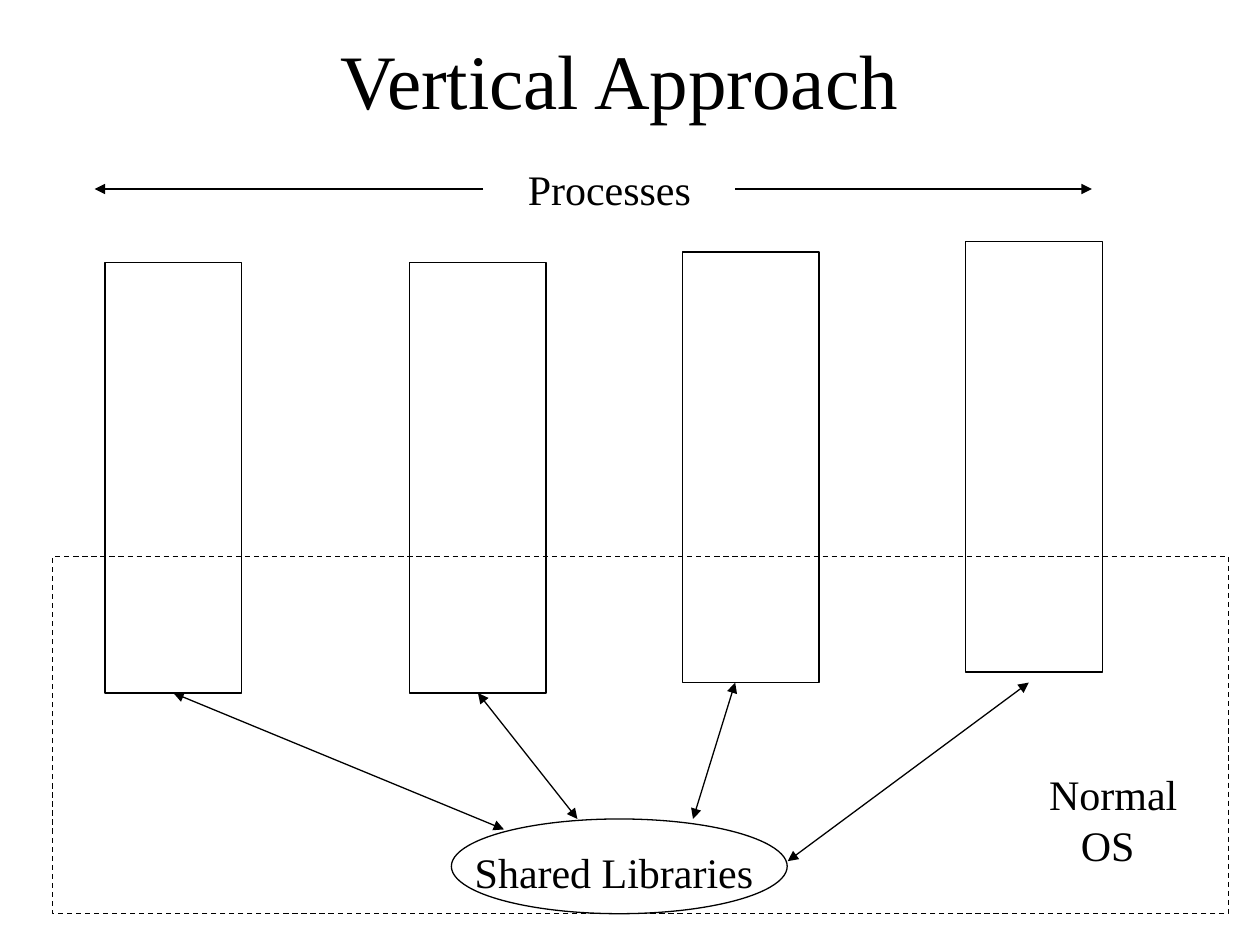
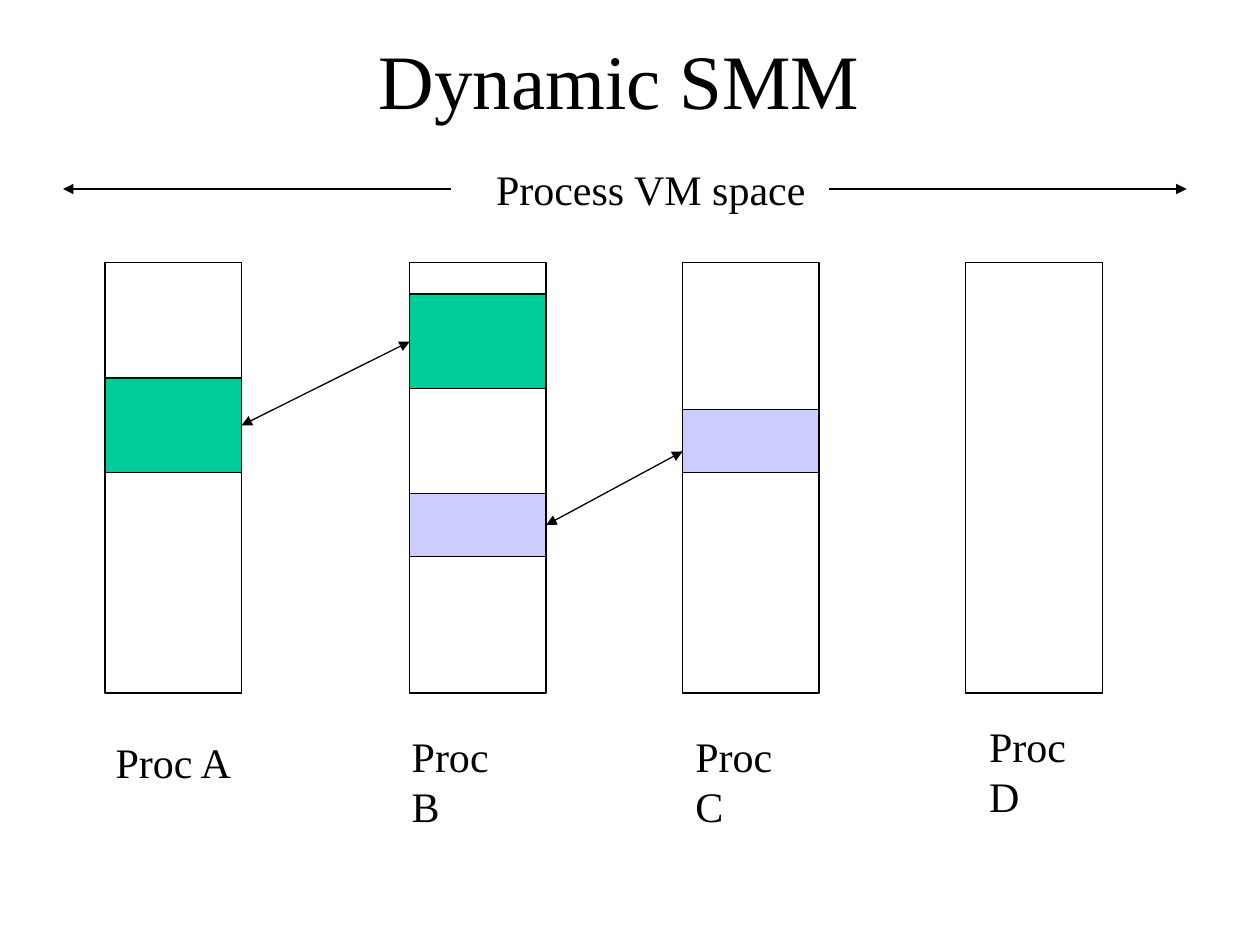
from lxml import etree
from pptx import Presentation
from pptx import util as u
from pptx.dml.color import RGBColor
from pptx.enum import dml, shapes, text
from pptx.oxml.ns import qn

# Shared style (all lengths in cm)
COLORS = {"ink": "000000", "green": "00CC99", "lavender": "CCCCFF"}
FONT = "Times New Roman"
TITLE_BOX = (1.69, 0, 21.59, 3.18)
LABEL_H = 1.27
COL_X = (2.12, 8.26, 13.76, 19.47)
COL_W, COL_H = 2.75, 8.68
COL_TOP = 5.29
ARROW_Y = 3.81

# Vertical approach: tops of the processes, and their arrows to the libraries
PROCESS_TOPS = (5.29, 5.29, 5.08, 4.87)
LIBRARIES = (9.1, 16.51, 6.77, 1.91)
NORMAL_OS = (1.06, 11.22, 23.71, 7.2)
LIBRARY_LINKS = [  # process end, library end, process joined
    ((3.49, 13.97), (10.16, 16.72), 0),
    ((9.53, 13.97), (11.64, 16.51), 1),
    ((14.82, 13.76), (13.97, 16.51), None),
    ((20.74, 13.76), (15.88, 17.36), None),
]

# Dynamic SMM: process labels (left, top, width) and shared blocks
PROCS = [
    ("Proc A", 2.08, 14.73, 2.87),
    ("Proc B", 8.05, 14.6, 2.82),
    ("Proc C", 13.77, 14.6, 2.82),
    ("Proc D", 19.69, 14.4, 2.87),
]
BLOCKS = [  # name, column, top, height, colour
    ("green A", 0, 7.62, 1.91, "green"),
    ("green B", 1, 5.93, 1.91, "green"),
    ("lavender B", 1, 9.95, 1.27, "lavender"),
    ("lavender C", 2, 8.26, 1.27, "lavender"),
]


def rgb(name):
    return RGBColor.from_string(COLORS[name])


def cm(values):
    return [u.Cm(v) for v in values]


def add_text(s, content, box, size=24, align=text.PP_ALIGN.LEFT,
             anchor=text.MSO_ANCHOR.TOP, wrap=False, indents=()):
    tf = s.shapes.add_textbox(*cm(box)).text_frame
    tf.word_wrap = wrap
    tf.vertical_anchor = anchor
    for i, line in enumerate(content.split("\n")):
        p = tf.paragraphs[0] if i == 0 else tf.add_paragraph()
        p.alignment = align
        if i < len(indents):
            p._p.get_or_add_pPr().set("marL", str(u.Cm(indents[i])))
        r = p.add_run()
        r.text = line
        r.font.name, r.font.size = FONT, u.Pt(size)
        r.font.color.rgb = rgb("ink")


def style_line(line):
    line.color.rgb = rgb("ink")
    line.width = u.Pt(0.75)


def add_box(s, box, fill=None, kind=shapes.MSO_SHAPE.RECTANGLE, dashed=False):
    sp = s.shapes.add_shape(kind, *cm(box))
    sp.shadow.inherit = False
    if fill:
        sp.fill.solid()
        sp.fill.fore_color.rgb = rgb(fill)
    else:
        sp.fill.background()
    style_line(sp.line)
    if dashed:
        sp.line.dash_style = dml.MSO_LINE.DASH
    return sp


def add_arrow(s, start, end, both=True, begin_at=None, end_at=None):
    c = s.shapes.add_connector(shapes.MSO_CONNECTOR.STRAIGHT, *cm(start + end))
    style_line(c.line)
    if begin_at:
        c.begin_connect(*begin_at)
    if end_at:
        c.end_connect(*end_at)
    ln = c.line._get_or_add_ln()
    for tag in ("a:headEnd", "a:tailEnd") if both else ("a:tailEnd",):
        etree.SubElement(ln, qn(tag)).set("type", "triangle")
    etree.SubElement(c._element.spPr, qn("a:effectLst"))


def add_slide(prs, title, span, span_box, left_arrow, right_arrow, tops):
    """Title, labelled span with outward arrows, and the process columns."""
    s = prs.slides.add_slide(prs.slide_layouts[6])
    add_text(s, title, TITLE_BOX, size=44, align=text.PP_ALIGN.CENTER,
             anchor=text.MSO_ANCHOR.MIDDLE, wrap=True)
    columns = [add_box(s, (x, top, COL_W, COL_H)) for x, top in zip(COL_X, tops)]
    left, width = span_box
    add_text(s, span, (left, 3.18, width, LABEL_H))
    for x1, x2 in (left_arrow, right_arrow):
        add_arrow(s, (x1, ARROW_Y), (x2, ARROW_Y), both=False)
    return s, columns


def vertical_approach(prs):
    s, columns = add_slide(prs, "Vertical Approach", "Processes", (10.39, 4.01),
                           (9.74, 1.91), (14.82, 22.01), PROCESS_TOPS)
    add_box(s, LIBRARIES, kind=shapes.MSO_SHAPE.OVAL)
    for start, end, joined in LIBRARY_LINKS:
        site = None if joined is None else (columns[joined], 2)
        add_arrow(s, start, end, begin_at=site)
    add_box(s, NORMAL_OS, dashed=True)
    add_text(s, "Shared Libraries", (9.32, 16.94, 6.12, LABEL_H))
    add_text(s, "Normal\nOS", (20.9, 15.37, 3.1, 2.29), indents=(0, 0.64))


def dynamic_smm(prs):
    s, _ = add_slide(prs, "Dynamic SMM", "Process VM space", (9.75, 6.76),
                     (9.1, 1.27), (16.72, 23.92), [COL_TOP] * len(COL_X))
    blocks = {name: add_box(s, (COL_X[col], top, COL_W, height), fill)
              for name, col, top, height, fill in BLOCKS}
    # Links between the blocks that processes share
    add_arrow(s, (4.87, 8.47), (8.26, 6.77),
              begin_at=(blocks["green A"], 3), end_at=(blocks["green B"], 1))
    add_arrow(s, (11.01, 10.58), (13.76, 9.1), begin_at=(blocks["lavender B"], 3))
    for name, left, top, width in PROCS:
        add_text(s, name, (left, top, width, LABEL_H))


def main():
    prs = Presentation()
    prs.slide_width, prs.slide_height = u.Cm(25.4), u.Cm(19.05)
    vertical_approach(prs)
    dynamic_smm(prs)
    prs.save("out.pptx")


if __name__ == "__main__":
    main()
